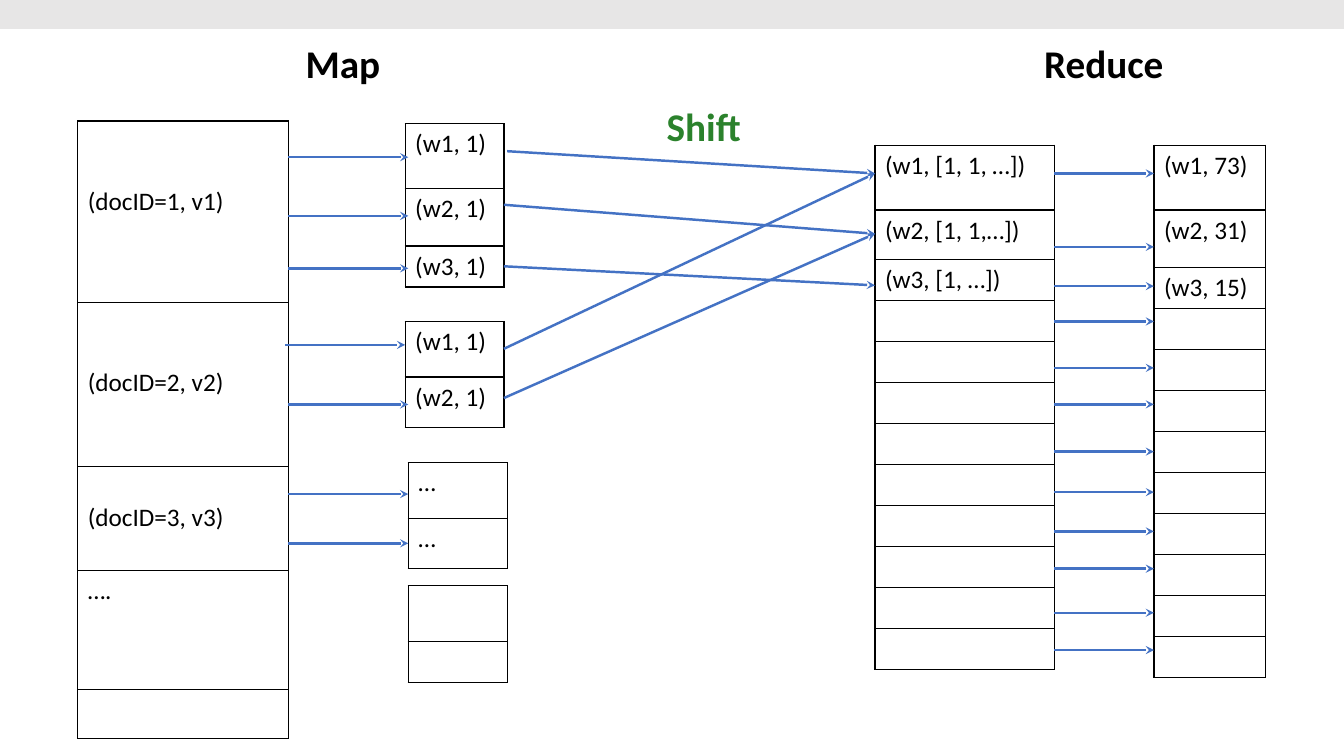
from dataclasses import dataclass

from lxml import etree
from pptx import Presentation
from pptx.dml.color import RGBColor
from pptx.enum.shapes import MSO_CONNECTOR, MSO_SHAPE
from pptx.enum.text import MSO_ANCHOR, MSO_AUTO_SIZE, PP_ALIGN
from pptx.oxml.ns import qn
from pptx.util import Cm, Pt

RECTANGLE = MSO_SHAPE.RECTANGLE
STRAIGHT = MSO_CONNECTOR.STRAIGHT
TOP = MSO_ANCHOR.TOP
CENTER = PP_ALIGN.CENTER
NO_AUTOFIT = MSO_AUTO_SIZE.NONE


@dataclass(frozen=True)
class Theme:
    font: str = "Calibri"
    heading_size: float = 28
    cell_size: float = 18
    line_width: float = 1.75
    border_width: float = 1
    band: str = "E7E6E6"
    ink: str = "000000"
    accent: str = "2B822C"
    arrow: str = "4472C4"


THEME = Theme()
ROW = 1.02
CELL_MARGIN = 0.13
SMALL_ROWS = 10

HEADINGS = [
    ("Map", 7.19, 0.86, 2.9, THEME.ink),
    ("Reduce", 26.01, 0.86, 3.61, THEME.ink),
    ("Shift", 15.93, 2.46, 3.61, THEME.accent),
]

TABLES = [
    (1.96, 3.05, 5.31, [("(docID=1, v1)", 4.57, 1.65), ("(docID=2, v2)", 4.14, 1.65),
                        ("(docID=3, v3)", 2.62, 0.9), ("….", 3, CELL_MARGIN),
                        ("", 1.22, CELL_MARGIN)]),
    (10.21, 3.12, 2.49, [("(w1, 1)", 1.63, CELL_MARGIN), ("(w2, 1)", 1.45, CELL_MARGIN),
                         ("(w3, 1)", ROW, CELL_MARGIN)]),
    (10.21, 8.1, 2.49, [("(w1, 1)", 1.4, CELL_MARGIN), ("(w2, 1)", 1.27, CELL_MARGIN)]),
    (10.29, 11.66, 2.49, [("…", 1.4, CELL_MARGIN), ("…", 1.27, CELL_MARGIN)]),
    (10.29, 14.76, 2.49, [("", 1.4, CELL_MARGIN), ("", ROW, CELL_MARGIN)]),
    (22.05, 3.66, 4.52, [("(w1, [1, 1, …])", 1.63, CELL_MARGIN),
                         ("(w2, [1, 1,…])", 1.25, CELL_MARGIN)]
     + [(text, ROW, CELL_MARGIN) for text in ["(w3, [1, …])"] + [""] * (SMALL_ROWS - 1)]),
    (29.08, 3.66, 2.82, [("(w1, 73)", 1.63, CELL_MARGIN), ("(w2, 31)", 1.45, CELL_MARGIN)]
     + [(text, ROW, CELL_MARGIN) for text in ["(w3, 15)"] + [""] * (SMALL_ROWS - 1)]),
]

MAP_ARROW_LEVELS = [3.96, 5.44, 6.76, 10.19, 12.45, 13.69]
REDUCE_ARROW_LEVELS = [4.37, 6.22, 7.21, 8.1, 9.27, 10.19,
                       11.38, 12.4, 13.39, 14.33, 15.44, 16.38]
SHIFT_ARROWS = [
    (12.78, 3.81, 22.05, 4.37),
    (12.7, 8.79, 22.05, 4.37),
    (12.7, 5.16, 22.05, 5.89),
    (12.7, 6.71, 22.05, 7.19),
    (12.7, 10.03, 22.05, 5.89),
]
ARROWS = (
    [(7.26, level, 10.29, level) for level in MAP_ARROW_LEVELS]
    + [(7.19, 8.69, 10.21, 8.69)]
    + SHIFT_ARROWS
    + [(26.57, level, 29.08, level) for level in REDUCE_ARROW_LEVELS]
)


def format_runs(paragraph, size, color, bold=False):
    for run in paragraph.runs:
        run.font.name = THEME.font
        run.font.size = Pt(size)
        run.font.bold = bold
        run.font.color.rgb = RGBColor.from_string(color)


def add_band(slide, width):
    band = slide.shapes.add_shape(RECTANGLE, 0, 0, width, Cm(0.73))
    band.shadow.inherit = False
    band.fill.solid()
    band.fill.fore_color.rgb = RGBColor.from_string(THEME.band)
    band.line.fill.background()


def place_heading(shape, text, left, top, width, color):
    shape.left, shape.top, shape.width, shape.height = Cm(left), Cm(top), Cm(width), Cm(1.45)
    frame = shape.text_frame
    frame.text = text
    frame.word_wrap = True
    frame.auto_size = NO_AUTOFIT
    frame.vertical_anchor = TOP
    paragraph = frame.paragraphs[0]
    paragraph.alignment = CENTER
    format_runs(paragraph, THEME.heading_size, color, bold=True)


def add_borders(cell):
    properties = cell._tc.get_or_add_tcPr()
    for side in ("a:lnL", "a:lnR", "a:lnT", "a:lnB"):
        border = etree.SubElement(properties, qn(side), w=str(Pt(THEME.border_width)))
        fill = etree.SubElement(border, qn("a:solidFill"))
        etree.SubElement(fill, qn("a:srgbClr"), val=THEME.ink)


def add_column_table(slide, left, top, width, rows):
    height = sum(row_height for _, row_height, _ in rows)
    frame = slide.shapes.add_table(len(rows), 1, Cm(left), Cm(top), Cm(width), Cm(height))
    table = frame.table
    table.first_row = False
    table.horz_banding = False
    for index, (text, row_height, margin) in enumerate(rows):
        table.rows[index].height = Cm(row_height)
        cell = table.cell(index, 0)
        cell.margin_top = Cm(margin)
        add_borders(cell)
        cell.fill.background()
        if text:
            cell.text_frame.text = text
            format_runs(cell.text_frame.paragraphs[0], THEME.cell_size, THEME.ink)


def add_arrow(slide, *ends):
    arrow = slide.shapes.add_connector(STRAIGHT, *map(Cm, ends))
    arrow.line.color.rgb = RGBColor.from_string(THEME.arrow)
    arrow.line.width = Pt(THEME.line_width)
    etree.SubElement(arrow.line._get_or_add_ln(), qn("a:tailEnd"), type="stealth")
    etree.SubElement(arrow._element.spPr, qn("a:effectLst"))


def main():
    """Build the word count map and reduce slide."""
    presentation = Presentation()
    presentation.slide_width, presentation.slide_height = Cm(33.87), Cm(19.05)
    slide = presentation.slides.add_slide(presentation.slide_layouts[5])
    add_band(slide, presentation.slide_width)
    for table in TABLES:
        add_column_table(slide, *table)
    for arrow in ARROWS:
        add_arrow(slide, *arrow)
    map_heading, *other_headings = HEADINGS
    place_heading(slide.shapes.title, *map_heading)
    for heading in other_headings:
        place_heading(slide.shapes.add_textbox(0, 0, 0, 0), *heading)
    presentation.save("out.pptx")


if __name__ == "__main__":
    main()
